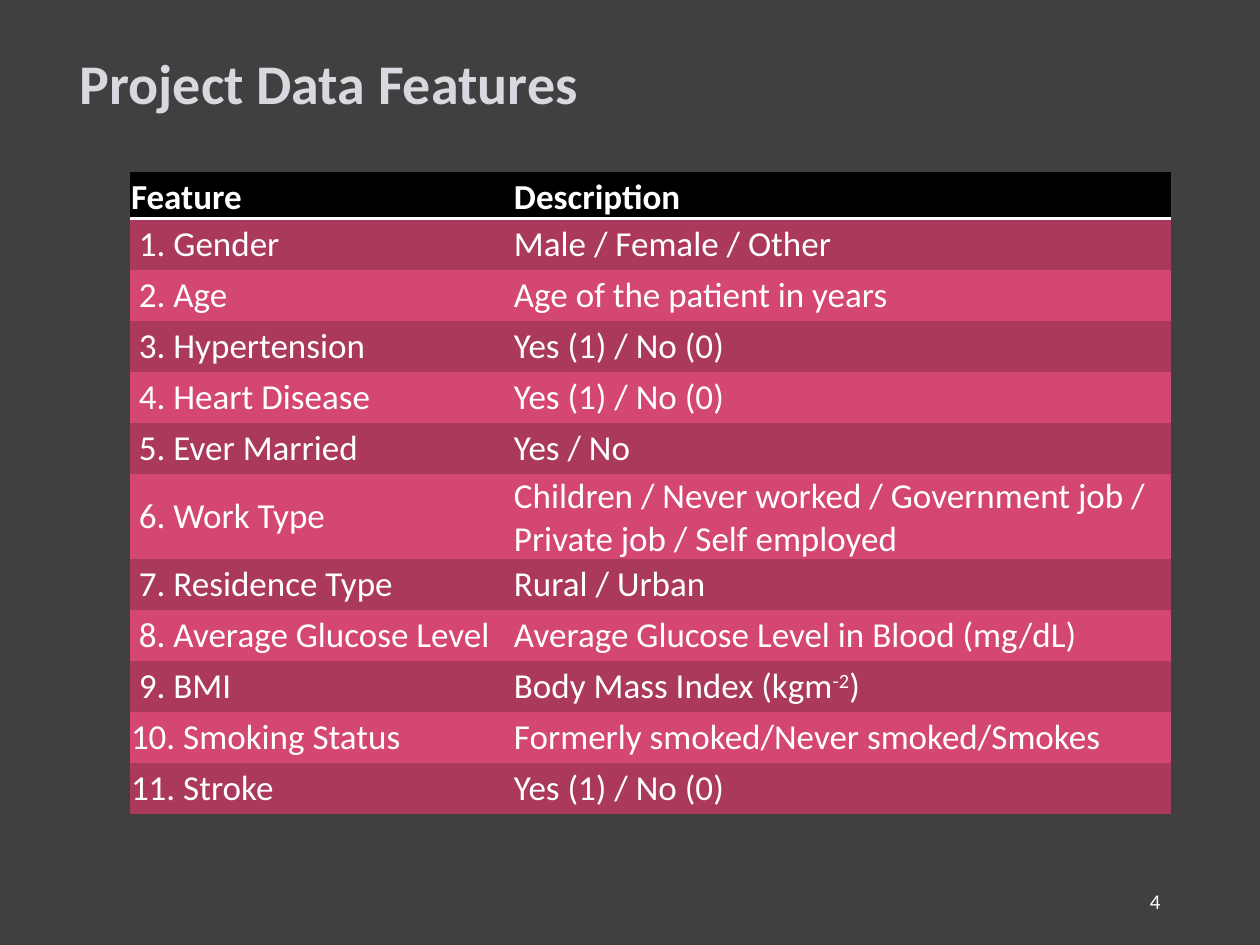
from lxml import etree
from pptx import Presentation
from pptx import util as u
from pptx.dml.color import RGBColor
from pptx.enum import text
from pptx.oxml import parse_xml
from pptx.oxml.ns import nsdecls, qn

PX_PER_INCH = 126
FONT = "Calibri"
WHITE = "FFFFFF"
BANDS = ["AB395C", "D54773"]
PLAIN_TABLE_STYLE = "{2D5ABB26-0587-4C30-8999-92F81FD0307C}"
YES_NO = "Yes (1) / No (0)"
FEATURES = [
    ("Gender", "Male / Female / Other"),
    ("Age", "Age of the patient in years"),
    ("Hypertension", YES_NO),
    ("Heart Disease", YES_NO),
    ("Ever Married", "Yes / No"),
    ("Work Type", "Children / Never worked / Government job / Private job / Self employed"),
    ("Residence Type", "Rural / Urban"),
    ("Average Glucose Level", "Average Glucose Level in Blood (mg/dL)"),
    ("BMI", "Body Mass Index (kgm^-2^)"),
    ("Smoking Status", "Formerly smoked/Never smoked/Smokes"),
    ("Stroke", YES_NO),
]


def px(length):
    """Turn pixels into EMU."""
    return u.Inches(length / PX_PER_INCH)


def color(value):
    """Turn a hex string into a colour."""
    return RGBColor.from_string(value)


def style_run(run, size, bold=False, fill=WHITE):
    """Give a run its font, size, weight and colour."""
    run.font.name = FONT
    run.font.size = u.Pt(size)
    run.font.bold = bold
    run.font.color.rgb = color(fill)


def add_text(slide, box, words, size, bold=False, fill=WHITE,
             align=text.PP_ALIGN.LEFT, anchor=text.MSO_ANCHOR.TOP):
    """Add a text box holding one line."""
    frame = slide.shapes.add_textbox(*map(px, box)).text_frame
    frame.word_wrap = True
    frame.vertical_anchor = anchor
    frame.text = words
    paragraph = frame.paragraphs[0]
    paragraph.alignment = align
    style_run(paragraph.runs[0], size, bold, fill)


def underline_cell(cell):
    """Draw a white border below a cell."""
    border = parse_xml(
        f'<a:lnB {nsdecls("a")} w="{u.Pt(2)}"><a:solidFill>'
        f'<a:srgbClr val="{WHITE}"/></a:solidFill></a:lnB>')
    cell._tc.get_or_add_tcPr().insert(0, border)


def fill_cell(cell, words, fill, anchor, bold=False):
    """Write a cell, raising the words between carets."""
    cell.fill.solid()
    cell.fill.fore_color.rgb = color(fill)
    cell.vertical_anchor = anchor
    cell.margin_left = cell.margin_right = cell.margin_top = px(1)
    cell.margin_bottom = 0
    paragraph = cell.text_frame.paragraphs[0]
    for index, part in enumerate(words.split("^")):
        run = paragraph.add_run()
        run.text = part
        style_run(run, 20, bold)
        if index % 2:
            run._r.get_or_add_rPr().set("baseline", "30000")


def add_feature_table(slide):
    """Add the table of numbered features and their descriptions."""
    widths, header_height, row_height = (383, 658), 47, 51
    height = header_height + row_height * len(FEATURES)
    frame = slide.shapes.add_table(
        len(FEATURES) + 1, 2, *map(px, (130, 172, sum(widths), height)))
    table = frame.table
    table.horz_banding = False
    style = table._tbl.tblPr.find(qn("a:tableStyleId"))
    style.text = PLAIN_TABLE_STYLE
    for column, width in zip(table.columns, widths):
        column.width = px(width)
    for row in table.rows:
        row.height = px(row_height)
    table.rows[0].height = px(header_height)
    for cell, words in zip(table.rows[0].cells, ("Feature", "Description")):
        fill_cell(cell, words, "000000", text.MSO_ANCHOR.BOTTOM, bold=True)
        underline_cell(cell)
    for number, (feature, description) in enumerate(FEATURES, 1):
        fill = BANDS[(number - 1) % 2]
        entries = (f"{number:>2}. {feature}", description)
        for cell, words in zip(table.rows[number].cells, entries):
            fill_cell(cell, words, fill, text.MSO_ANCHOR.MIDDLE)


def main():
    """Build and save the slide."""
    presentation = Presentation()
    presentation.slide_width, presentation.slide_height = px(1260), px(945)
    slide = presentation.slides.add_slide(presentation.slide_layouts[6])
    slide.background.fill.solid()
    slide.background.fill.fore_color.rgb = color("404040")
    add_text(slide, (67, 42, 717, 81), "Project Data Features", 32, True, "D8D8DE")
    add_feature_table(slide)
    add_text(slide, (890, 876, 283, 50), "4", 12,
             align=text.PP_ALIGN.RIGHT, anchor=text.MSO_ANCHOR.MIDDLE)
    presentation.save("out.pptx")


if __name__ == "__main__":
    main()
